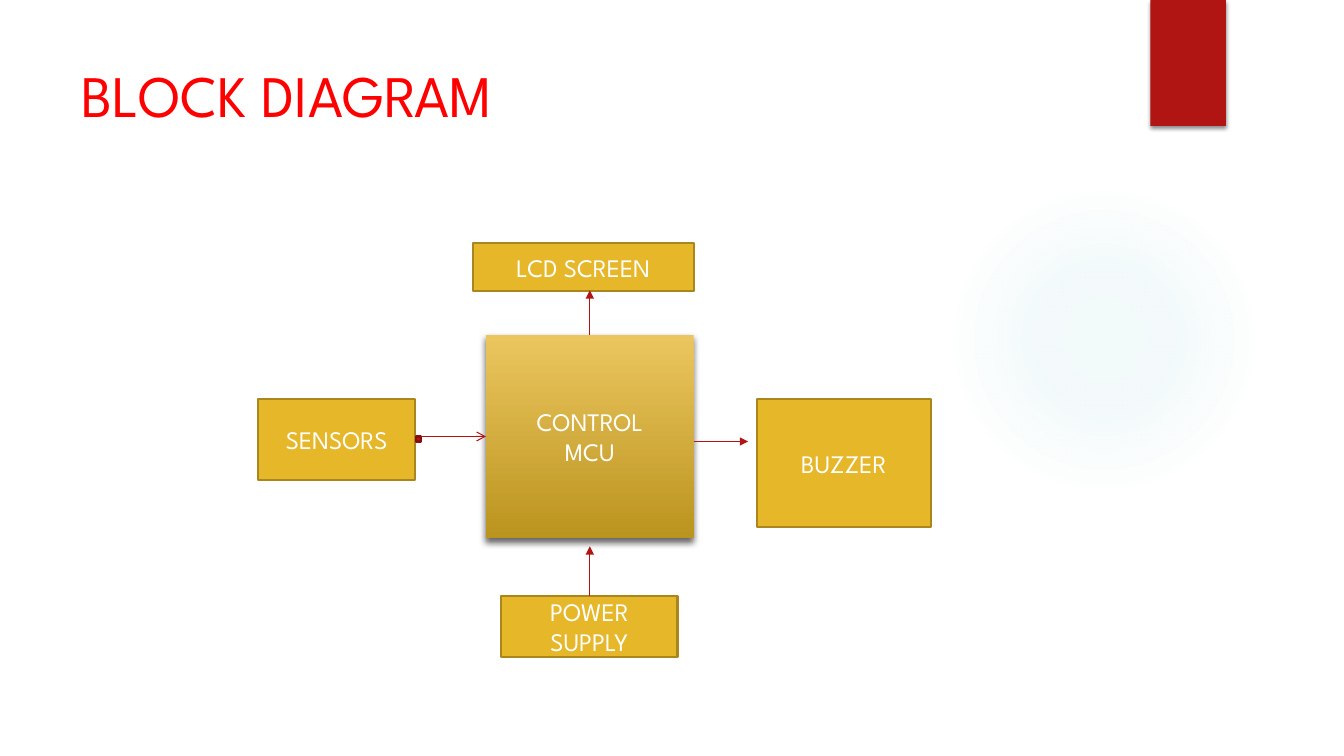
import pptx
import pptx.util
import pptx.dml.color
import pptx.enum.shapes
import pptx.enum.text
import pptx.oxml
import pptx.oxml.ns

Inches = pptx.util.Inches
Pt = pptx.util.Pt
SHAPE = pptx.enum.shapes.MSO_SHAPE
ALIGN = pptx.enum.text.PP_ALIGN
ANCHOR = pptx.enum.text.MSO_ANCHOR

FONT = "League Spartan"
COLORS = {
    "glow": "50B9C1", "red": "B01513", "dark_red": "82100E", "title": "FF0000",
    "gold": "E6B729", "gold_edge": "AA871E", "gold_light": "EBC65F",
    "gold_deep": "BB941F", "white": "FFFFFF", "black": "000000",
}
TITLE = "BLOCK DIAGRAM"
TITLE_AREA = (0.71, 0.53, 10.29, 1.53)
GLOW_AREA = (9.41, 1.83, 3.08, 3.08)
RIBBON_AREA = (11.41, 0, 0.75, 1.25)
PORT_AREA = (4.13, 4.33, 0.05, 0.05)
BOARD = (["CONTROL", "MCU"], (4.82, 3.32, 2.06, 2.02))
BLOCKS = [
    ("POWER SUPPLY", (4.97, 5.91, 1.75, 0.61)),
    ("SENSORS", (2.56, 3.96, 1.56, 0.8)),
    ("LCD SCREEN", (4.69, 2.41, 2.19, 0.48)),
    ("BUZZER", (7.51, 3.96, 1.72, 1.27)),
]
ARROWS = [
    ((4.15, 3.64), (4.15, 3.64), "triangle"),
    ((4.18, 4.33), (4.82, 4.33), "arrow"),
    ((6.88, 4.38), (7.42, 4.38), "triangle"),
    ((5.85, 5.91), (5.85, 5.42), "triangle"),
    ((5.85, 3.32), (5.85, 2.88), "triangle"),
]
GLOW_STOPS = [(0, "glow", 7), (36, "glow", 6), (69, "glow", 0)]
BOARD_STOPS = [(0, "gold_light", 100), (100, "gold_deep", 100)]
LINEAR_DOWN = '<a:lin ang="5400000" scaled="0"/>'
RADIAL = '<a:path path="circle"><a:fillToRect l="50000" t="50000" r="50000" b="50000"/></a:path>'


def rgb(name):
    return pptx.dml.color.RGBColor.from_string(COLORS[name])


def xml(tag, attributes="", inner=""):
    namespace = pptx.oxml.ns.nsdecls("a")
    return pptx.oxml.parse_xml(f"<a:{tag} {namespace} {attributes}>{inner}</a:{tag}>")


def color_xml(name, alpha):
    return f'<a:srgbClr val="{COLORS[name]}"><a:alpha val="{alpha * 1000}"/></a:srgbClr>'


def add_box(page, area, fill=None, edge=None, kind=SHAPE.RECTANGLE):
    box = page.shapes.add_shape(kind, *map(Inches, area))
    box.shadow.inherit = False
    if fill:
        box.fill.solid()
        box.fill.fore_color.rgb = rgb(fill)
    if edge:
        box.line.color.rgb = rgb(edge)
        box.line.width = Pt(1.5)
    else:
        box.line.fill.background()
    return box


def set_gradient(box, stops, direction):
    box.fill.background()
    marks = "".join(f'<a:gs pos="{position * 1000}">{color_xml(name, alpha)}</a:gs>'
                    for position, name, alpha in stops)
    gradient = xml("gradFill", 'rotWithShape="1"', f"<a:gsLst>{marks}</a:gsLst>{direction}")
    properties = box._element.spPr
    properties.replace(properties.find(pptx.oxml.ns.qn("a:noFill")), gradient)


def add_shadow(box, alpha, blur, distance):
    shadow = xml("outerShdw", f'blurRad="{Pt(blur)}" dist="{Pt(distance)}" dir="5400000" '
                 'algn="ctr" rotWithShape="0"', color_xml("black", alpha))
    box._element.spPr.find(pptx.oxml.ns.qn("a:effectLst")).append(shadow)


def write(box, lines, size, color, align, anchor):
    frame = box.text_frame
    frame.word_wrap = True
    frame.vertical_anchor = anchor
    for index, line in enumerate(lines):
        para = frame.add_paragraph() if index else frame.paragraphs[0]
        para.alignment = align
        span = para.add_run()
        span.text = line
        span.font.name = FONT
        span.font.size = Pt(size)
        span.font.color.rgb = rgb(color)


def add_arrow(page, start, end, head):
    arrow = page.shapes.add_connector(pptx.enum.shapes.MSO_CONNECTOR.STRAIGHT,
                                      *map(Inches, start + end))
    arrow.line.color.rgb = rgb("red")
    arrow.line.width = Pt(0.75)
    arrow.line._get_or_add_ln().append(xml("tailEnd", f'type="{head}"'))
    arrow._element.spPr.append(xml("effectLst"))


def main():
    deck = pptx.Presentation()
    deck.slide_width, deck.slide_height = Inches(13.33), Inches(7.5)
    page = deck.slides.add_slide(deck.slide_layouts[6])

    glow = add_box(page, GLOW_AREA, kind=SHAPE.OVAL)
    set_gradient(glow, GLOW_STOPS, RADIAL)
    ribbon = add_box(page, RIBBON_AREA, "red")
    add_shadow(ribbon, 45, 3, 2)

    title = page.shapes.add_textbox(*map(Inches, TITLE_AREA))
    write(title, [TITLE], 42, "title", ALIGN.LEFT, ANCHOR.TOP)

    lines, area = BOARD
    board = add_box(page, area)
    set_gradient(board, BOARD_STOPS, LINEAR_DOWN)
    add_shadow(board, 60, 5, 3)
    write(board, lines, 18, "white", ALIGN.CENTER, ANCHOR.MIDDLE)

    for label, area in BLOCKS:
        block = add_box(page, area, "gold", "gold_edge")
        write(block, [label], 18, "white", ALIGN.CENTER, ANCHOR.MIDDLE)
    add_box(page, PORT_AREA, "red", "dark_red")

    for start, end, head in ARROWS:
        add_arrow(page, start, end, head)
    deck.save("out.pptx")


if __name__ == "__main__":
    main()
